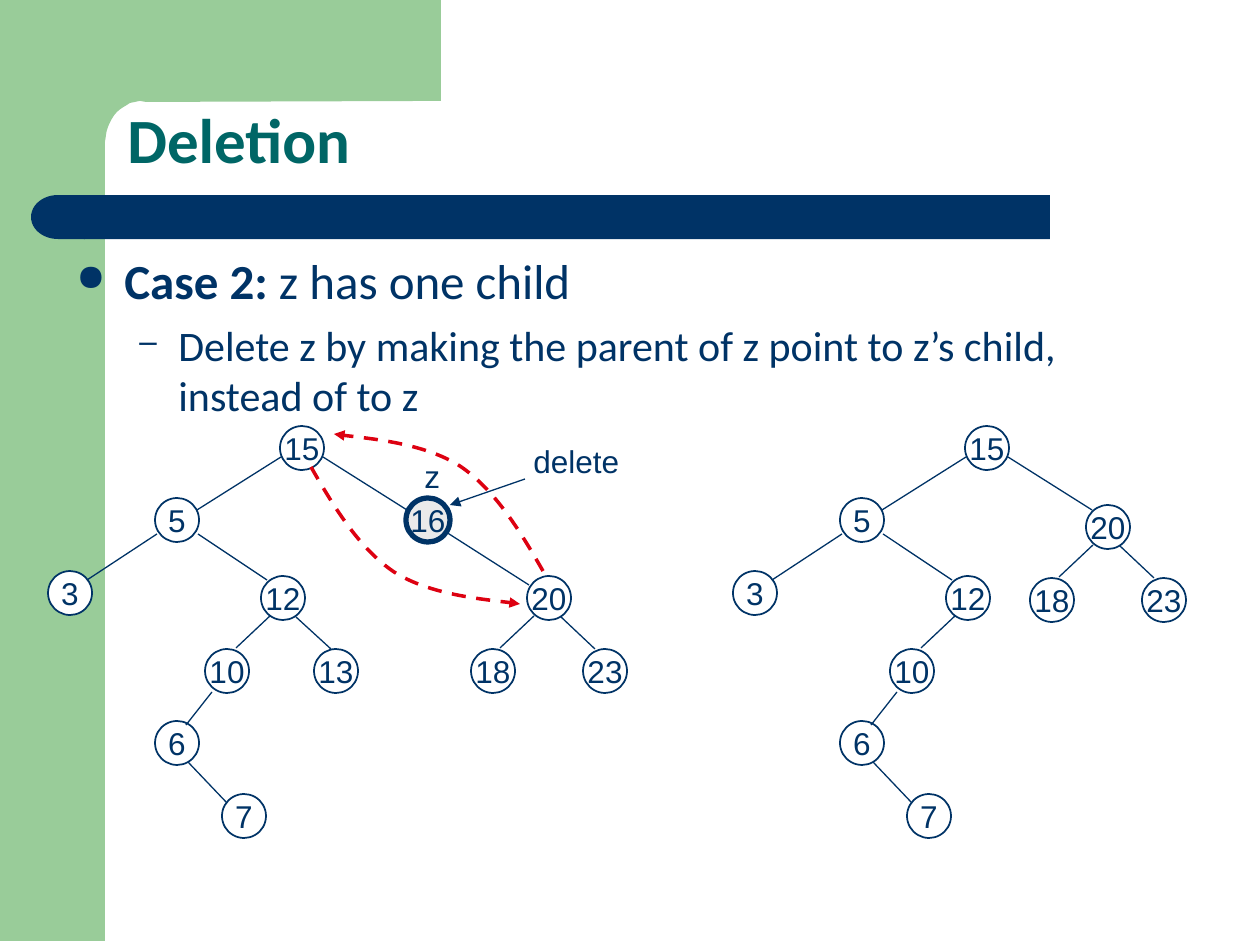
import lxml.etree
import pptx
import pptx.util
import pptx.dml.color
import pptx.enum.dml
import pptx.enum.shapes
import pptx.enum.text
import pptx.oxml.ns

SCALE = 914400 / 126
RGBColor = pptx.dml.color.RGBColor
NAVY = RGBColor(0x00, 0x33, 0x66)
GREEN = RGBColor(0x99, 0xCC, 0x99)
TEAL = RGBColor(0x00, 0x66, 0x66)
RED = RGBColor(0xDD, 0x01, 0x11)
WHITE = RGBColor(0xFF, 0xFF, 0xFF)
GRAY = RGBColor(0xEA, 0xEA, 0xEA)
SHAPE = pptx.enum.shapes.MSO_SHAPE
ANCHOR = pptx.enum.text.MSO_ANCHOR
ALIGN = pptx.enum.text.PP_ALIGN
qn = pptx.oxml.ns.qn

TITLE = "Deletion"
BODY = [
    dict(runs=[("Case 2: ", True), ("z has one child", False)], level=0, size=28,
         bullet="●", margin=48, hanging=48, before=0),
    dict(runs=[("Delete z by making the parent of z point to z’s child, instead of to z", False)],
         level=1, size=24, bullet="–", margin=102, hanging=39, before=6),
]

NODE_SIZE = 44
MAIN_NODES = [("15", 280, 426), ("6", 155, 721), ("5", 155, 498), ("12", 261, 576),
              ("3", 48, 571), ("7", 222, 794), ("10", 205, 649)]
MAIN_EDGES = [(157, 534, 87, 580), (198, 534, 267, 580), (270, 616, 236, 648),
              (212, 692, 186, 725), (188, 762, 227, 803), (281, 457, 197, 510),
              (323, 457, 407, 510)]
CHILD_NODES = [("20", 527, 576), ("18", 471, 649), ("23", 583, 649)]
CHILD_EDGES = [(534, 616, 500, 648), (561, 617, 595, 649)]
DELETED_NODE = ("16", 406, 498)
REMOVED_LEAF = ("13", 314, 649)
REMOVED_EDGES = [(446, 532, 529, 585), (296, 617, 331, 649)]
DELETE_ARROW = (525, 479, 450, 505)
AFTER_SHIFT = (685, 0)
CHILD_AFTER_SHIFT = (559, -71)

CORNER = [(441, -4), (441, 101), (146, 102), (140, 101), (130, 103),
          (126, 106), (121, 108), (117, 112), (113, 116), (110, 122), (108, 127),
          (106, 132), (106, 137), (105, 142), (105, 158), (63, 158), (63, -4)]
CORNER_CURVES = [4, 7, 10]
POINTER = [(311, 467), (335, 509), (360, 549), (394, 572), (430, 595), (500, 601), (520, 604)]
POINTER_CURVES = [0, 3]


def px(*values):
    return [round(value * SCALE) for value in values]


def style(shape, fill=None, line=None, width=1):
    shape.shadow.inherit = False
    if fill is None:
        shape.fill.background()
    else:
        shape.fill.solid()
        shape.fill.fore_color.rgb = fill
    if line is None:
        shape.line.fill.background()
    else:
        shape.line.color.rgb = line
        shape.line.width = pptx.util.Pt(width)


def add_arrowhead(shape):
    lxml.etree.SubElement(shape.line._get_or_add_ln(), qn("a:tailEnd"), type="triangle")


def add_block(shapes, kind, box, fill, line=None, width=1):
    shape = shapes.add_shape(kind, *px(*box))
    style(shape, fill, line, width)
    return shape


def write(paragraph, text, font="Arial", size=18, color=NAVY, bold=False):
    run = paragraph.add_run()
    run.text = text
    run.font.name = font
    run.font.size = pptx.util.Pt(size)
    run.font.color.rgb = color
    run.font.bold = bold


def add_text_box(shapes, box, wrap=True, anchor=ANCHOR.TOP):
    frame = shapes.add_textbox(*px(*box)).text_frame
    frame.word_wrap = wrap
    frame.vertical_anchor = anchor
    return frame


def add_node(shapes, node, shift=(0, 0), fill=WHITE, width=1):
    text, left, top = node
    box = (left + shift[0], top + shift[1], NODE_SIZE, NODE_SIZE)
    frame = add_block(shapes, SHAPE.OVAL, box, fill, NAVY, width).text_frame
    frame.word_wrap = False
    frame.vertical_anchor = ANCHOR.MIDDLE
    frame.paragraphs[0].alignment = ALIGN.CENTER
    write(frame.paragraphs[0], text)


def add_edge(shapes, edge, shift=(0, 0)):
    ends = [value + shift[index % 2] for index, value in enumerate(edge)]
    connector = shapes.add_connector(pptx.enum.shapes.MSO_CONNECTOR.STRAIGHT, *px(*ends))
    connector.line.color.rgb = NAVY
    connector.line.width = pptx.util.Pt(0.75)
    lxml.etree.SubElement(connector.element.spPr, qn("a:effectLst"))
    return connector


def add_tree(shapes, nodes, edges, shift=(0, 0)):
    for node in nodes:
        add_node(shapes, node, shift)
    for edge in edges:
        add_edge(shapes, edge, shift)


def add_outline(shapes, points, curve_starts, close=False):
    builder = shapes.build_freeform(*points[0], scale=SCALE)
    builder.add_line_segments(points[1:], close=close)
    shape = builder.convert_to_shape()
    segments = list(shape.element.iter(qn("a:lnTo")))
    for start in curve_starts:
        curve = lxml.etree.Element(qn("a:cubicBezTo"))
        segments[start].addprevious(curve)
        for segment in segments[start:start + 3]:
            curve.append(segment[0])
            segment.getparent().remove(segment)
    return shape


def add_pointer(shapes, shift=(0, 0), rotation=0):
    points = [(x + shift[0], y + shift[1]) for x, y in POINTER]
    shape = add_outline(shapes, points, POINTER_CURVES)
    style(shape, line=RED, width=2)
    shape.line.dash_style = pptx.enum.dml.MSO_LINE.DASH
    add_arrowhead(shape)
    shape.rotation = rotation


def add_bullet(paragraph, item):
    properties = paragraph._p.get_or_add_pPr()
    properties.set("marL", str(px(item["margin"])[0]))
    properties.set("indent", str(px(-item["hanging"])[0]))
    color = lxml.etree.SubElement(properties, qn("a:buClr"))
    lxml.etree.SubElement(color, qn("a:srgbClr"), val=str(NAVY))
    lxml.etree.SubElement(properties, qn("a:buSzPct"), val="75000")
    lxml.etree.SubElement(properties, qn("a:buChar"), char=item["bullet"])


def add_background(shapes):
    add_block(shapes, SHAPE.RECTANGLE, (0, -4, 105, 945), GREEN)
    style(add_outline(shapes, CORNER, CORNER_CURVES, close=True), GREEN)
    bar = add_block(shapes, SHAPE.ROUNDED_RECTANGLE, (84, 195, 966, 44), NAVY)
    bar.adjustments[0] = 0
    cap = add_block(shapes, SHAPE.FLOWCHART_DELAY, (31, 195, 54, 44), NAVY)
    cap.element.spPr.get_or_add_xfrm().set("flipH", "1")


def add_headings(shapes):
    title = add_text_box(shapes, (115, 45, 1072, 138), anchor=ANCHOR.BOTTOM).paragraphs[0]
    title.line_spacing = 0.9
    write(title, TITLE, font="Calibri", size=36, color=TEAL, bold=True)
    frame = add_text_box(shapes, (64, 244, 1134, 267))
    for index, item in enumerate(BODY):
        paragraph = frame.add_paragraph() if index else frame.paragraphs[0]
        paragraph.level = item["level"]
        paragraph.space_before = pptx.util.Pt(item["before"])
        add_bullet(paragraph, item)
        for text, bold in item["runs"]:
            write(paragraph, text, font="Calibri", size=item["size"], bold=bold)


def main():
    presentation = pptx.Presentation()
    presentation.slide_width, presentation.slide_height = px(1260, 945)
    slide = presentation.slides.add_slide(presentation.slide_layouts[6])
    add_background(slide.shapes)
    add_headings(slide.shapes)

    before = slide.shapes.add_group_shape().shapes
    add_tree(before, MAIN_NODES, MAIN_EDGES)
    add_tree(before, CHILD_NODES, CHILD_EDGES + REMOVED_EDGES)
    add_node(before, DELETED_NODE, fill=GRAY, width=3)
    add_node(before, REMOVED_LEAF, fill=None)
    write(add_text_box(before, (521, 436, 111, 50), wrap=False).paragraphs[0], "delete")
    add_arrowhead(add_edge(before, DELETE_ARROW))

    after = slide.shapes.add_group_shape().shapes
    add_tree(after, MAIN_NODES, MAIN_EDGES, AFTER_SHIFT)
    add_tree(after, CHILD_NODES, CHILD_EDGES, CHILD_AFTER_SHIFT)

    add_pointer(slide.shapes)
    write(add_text_box(slide.shapes, (412, 451, 40, 50), wrap=False).paragraphs[0], "z")
    add_pointer(slide.shapes, shift=(23, -33), rotation=180)
    presentation.save("out.pptx")


if __name__ == "__main__":
    main()
